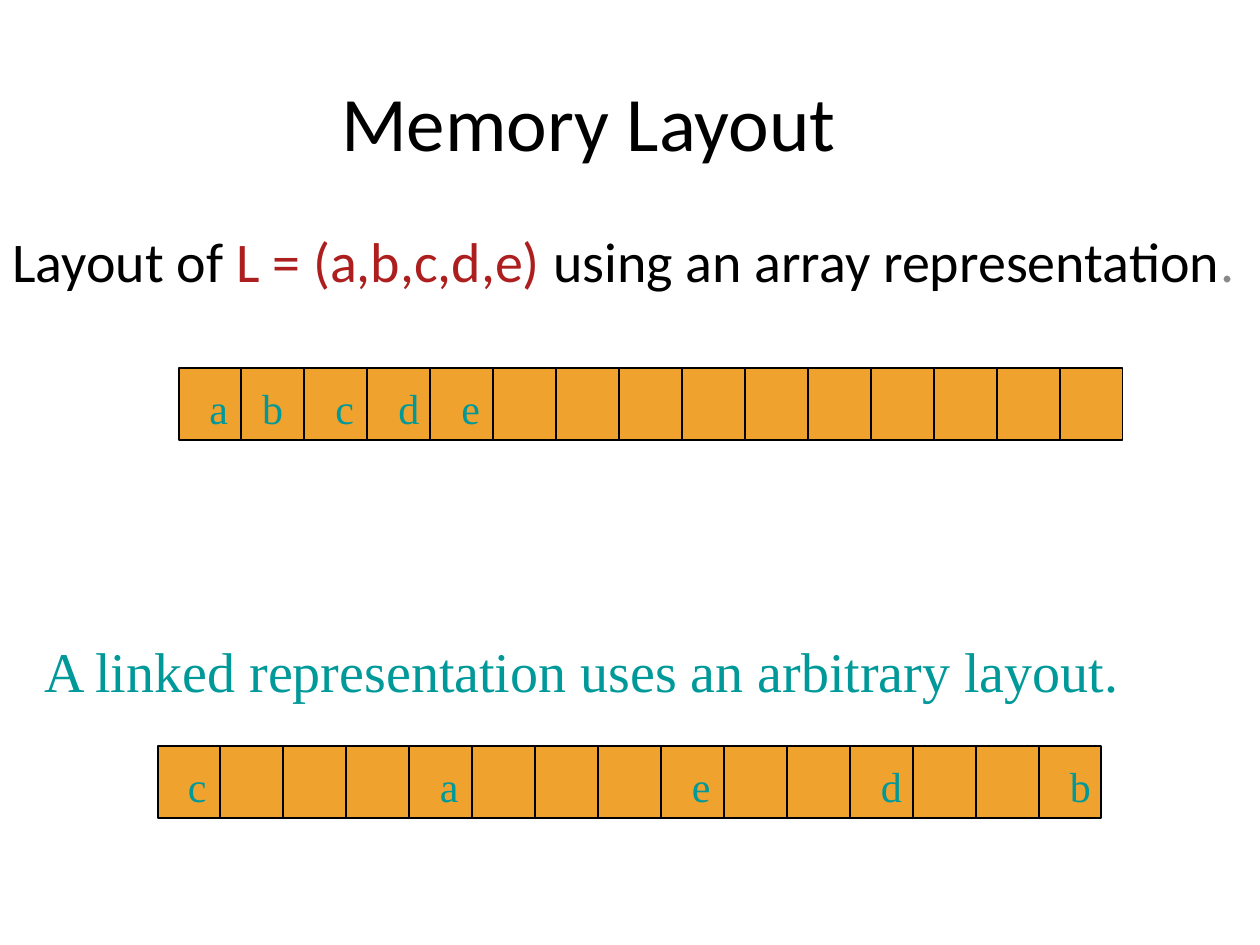
from lxml import etree
from pptx import Presentation
from pptx import util as u
from pptx.dml.color import RGBColor
from pptx.enum import shapes, text
from pptx.oxml.ns import qn

BLACK, RED, GREY, TEAL, ORANGE = "000000", "AD1F1F", "898989", "009999", "F0A22E"
SANS, SERIF = "Calibri", "Times New Roman"
CELLS, PITCH, HEIGHT = 15, 1.27, 1.45


def rgb(value):
    return RGBColor.from_string(value)


class Deck:
    """Holds the presentation, the current slide and the shared style."""

    def __init__(self, width, height):
        self.prs = Presentation()
        self.prs.slide_width, self.prs.slide_height = u.Cm(width), u.Cm(height)
        self.s = self.prs.slides.add_slide(self.prs.slide_layouts[6])

    def text(self, box, runs, size, font, parent=None, align=text.PP_ALIGN.LEFT, **frame):
        """Add a one-line text box; runs are (wording, colour) pairs."""
        sp = (parent or self.s).shapes.add_textbox(*map(u.Cm, box))
        tf = sp.text_frame
        for name, value in {"word_wrap": True, **frame}.items():
            setattr(tf, name, value)
        p = tf.paragraphs[0]
        p.alignment = align
        for wording, colour in runs:
            r = p.add_run()
            r.text = wording
            for name, value in {"size": u.Pt(size), "name": font}.items():
                setattr(r.font, name, value)
            r.font.color.rgb = rgb(colour)

    def outline(self, sp):
        sp.line.color.rgb = rgb(BLACK)
        sp.line.width = u.Pt(1)

    def bar(self, parent, left, top):
        sp = parent.shapes.add_shape(
            shapes.MSO_SHAPE.RECTANGLE,
            *map(u.Cm, (left, top, CELLS * PITCH - 0.03, HEIGHT)))
        sp.shadow.inherit = False
        sp.fill.solid()
        sp.fill.fore_color.rgb = rgb(ORANGE)
        self.outline(sp)

    def divider(self, parent, x, top):
        sp = parent.shapes.add_connector(
            shapes.MSO_CONNECTOR.STRAIGHT,
            *map(u.Cm, (x, top - 0.02, x, top + HEIGHT)))
        etree.SubElement(sp._element.spPr, qn("a:effectLst"))
        self.outline(sp)

    def memory(self, left, top, labels):
        """Add a row of memory cells; labels are (letter, cell position) pairs."""
        group = self.s.shapes.add_group_shape()
        self.bar(group, left, top)
        for i in range(1, CELLS):
            self.divider(group, left + i * PITCH - 0.02, top)
        for letter, cell in labels:
            width = 0.94 if letter in "bd" else 0.89
            self.text((left + 0.36 + cell * PITCH, top + 0.16, width, 1.27),
                      [(letter, TEAL)], 24, SERIF, group, word_wrap=False,
                      auto_size=text.MSO_AUTO_SIZE.SHAPE_TO_FIT_TEXT)


def main():
    deck = Deck(25.4, 19.05)
    deck.text((1.07, 0.84, 21.59, 3.18), [("Memory Layout", BLACK)], 44, SANS,
              align=text.PP_ALIGN.CENTER, vertical_anchor=text.MSO_ANCHOR.MIDDLE)
    deck.text((0, 4.45, 25.4, 2.54),
              [("Layout of ", BLACK), ("L = (a,b,c,d,e) ", RED),
               ("using an array representation", BLACK), (".", GREY)], 32, SANS)
    deck.memory(3.61, 7.42, [("a", 0), ("b", 0.84), ("c", 2), ("d", 3), ("e", 4)])
    deck.memory(3.18, 15.04, [("c", 0), ("a", 4), ("e", 8), ("d", 11), ("b", 14)])
    deck.text((0.64, 12.7, 23.5, 1.6),
              [("A linked representation uses an arbitrary layout.", TEAL)], 32, SERIF)
    deck.prs.save("out.pptx")


if __name__ == "__main__":
    main()
